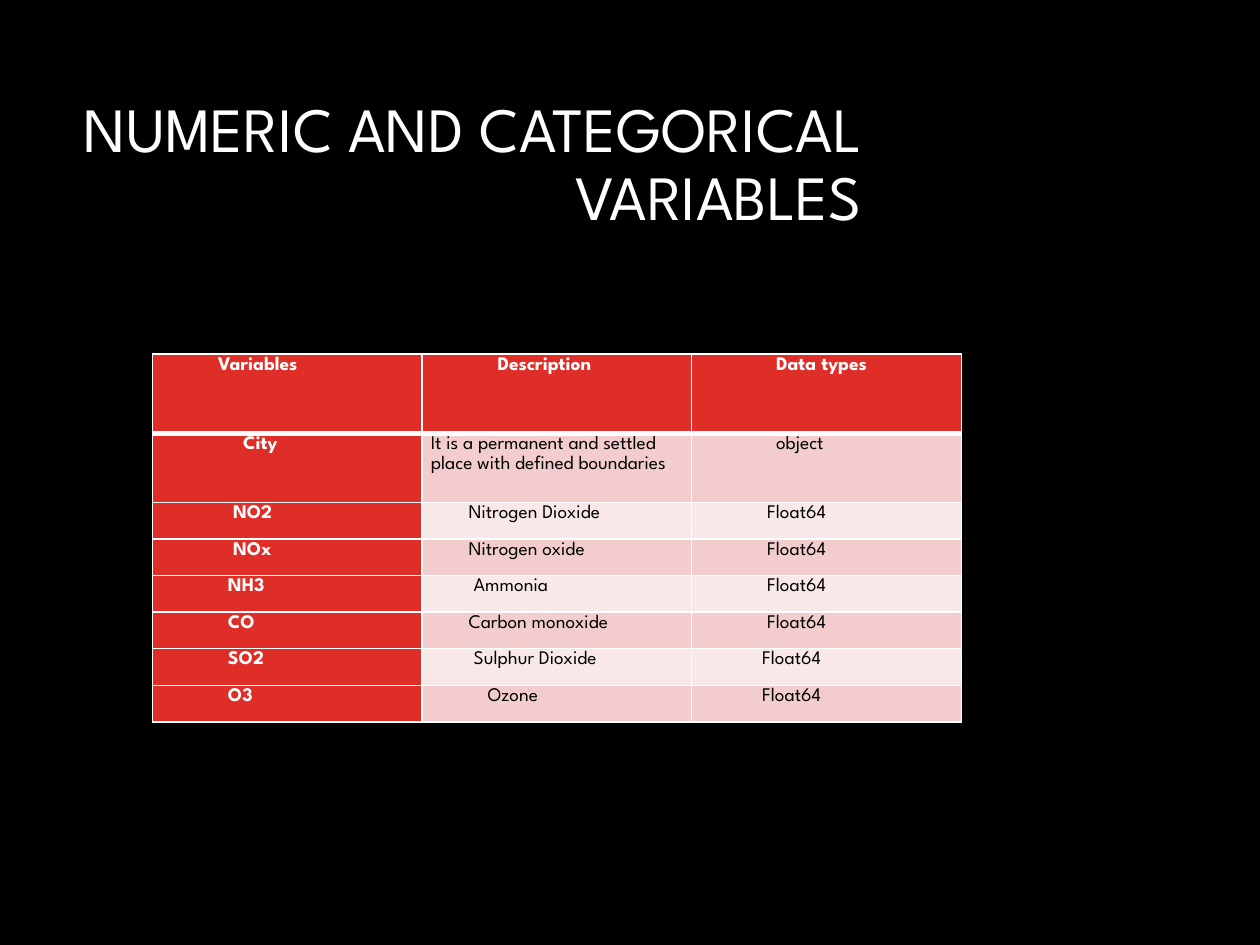
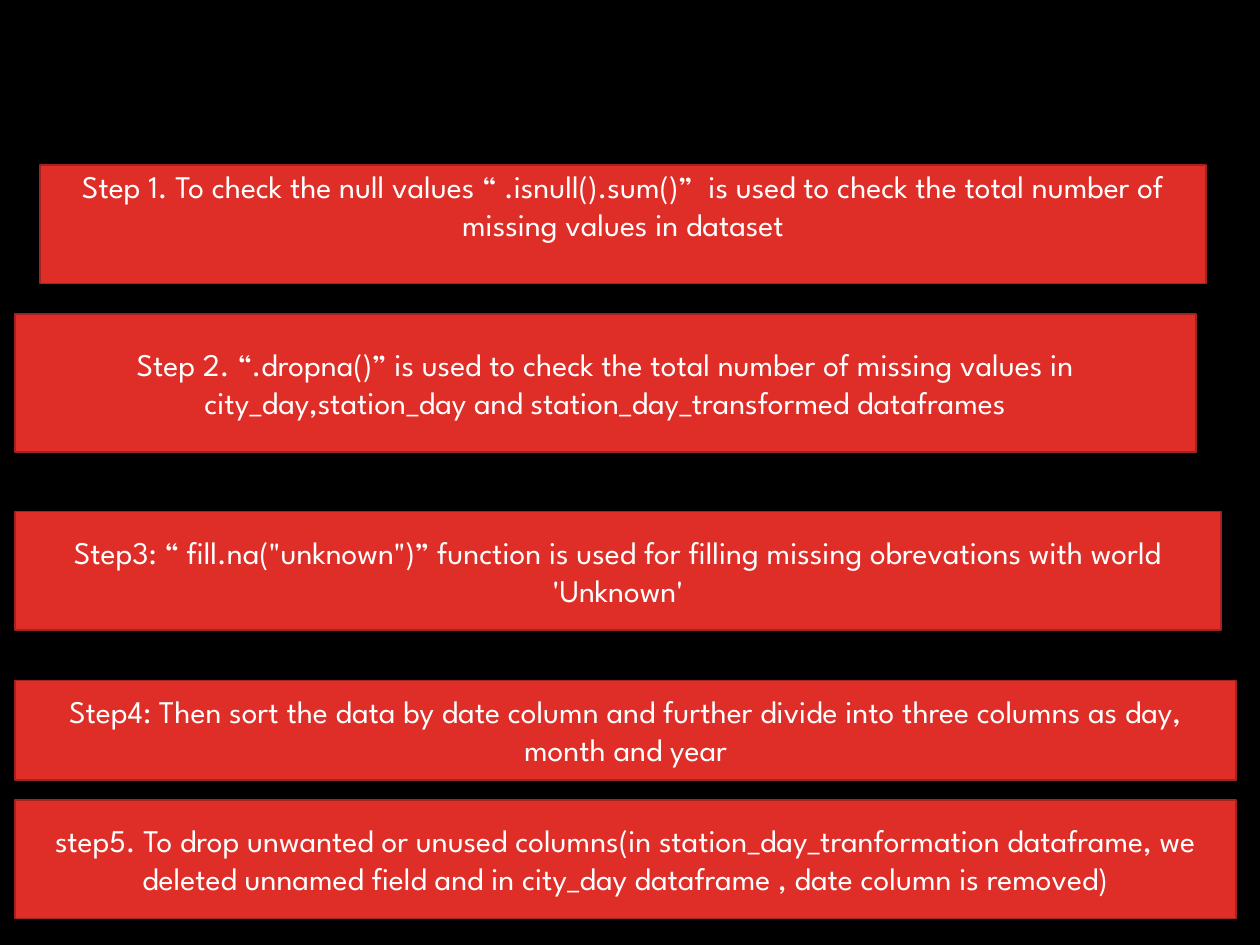
from lxml.etree import SubElement
from pptx import Presentation
from pptx.dml.color import RGBColor
from pptx.enum.shapes import MSO_SHAPE
from pptx.enum.text import MSO_ANCHOR, PP_ALIGN
from pptx.oxml.ns import qn
from pptx.util import Inches, Pt

FONT = "League Spartan"
BLACK = RGBColor(0x00, 0x00, 0x00)
WHITE = RGBColor(0xFF, 0xFF, 0xFF)
RED = RGBColor(0xDF, 0x2E, 0x28)
DARK_RED = RGBColor(0xA5, 0x22, 0x1E)
ROSE = RGBColor(0xF3, 0xCD, 0xCD)
PALE_ROSE = RGBColor(0xF9, 0xE8, 0xE8)

# Content: each table cell is (text, indent in inches)
TITLE = "NUMERIC AND CATEGORICAL VARIABLES"
VARIABLES = [
    [("Variables", 0.45), ("Description", 0.53), ("Data types", 0.6)],
    [("City", 0.65), ("It is a permanent and settled place with defined boundaries", 0), ("object", 0.6)],
    [("NO2", 0.57), ("Nitrogen Dioxide", 0.3), ("Float64", 0.53)],
    [("NOx", 0.57), ("Nitrogen oxide", 0.3), ("Float64", 0.53)],
    [("NH3", 0.53), ("Ammonia", 0.34), ("Float64", 0.53)],
    [("CO", 0.53), ("Carbon monoxide", 0.3), ("Float64", 0.53)],
    [("SO2", 0.53), ("Sulphur Dioxide", 0.34), ("Float64", 0.49)],
    [("O3", 0.53), ("Ozone", 0.45), ("Float64", 0.49)],
]
COLUMN_WIDTH = 2.14
HEADER_HEIGHT, CITY_HEIGHT, ROW_HEIGHT = 0.63, 0.55, 0.29

# Each step is (text, (left, top, width, height), shape, bottom inset)
PROCESS, RECTANGLE = MSO_SHAPE.FLOWCHART_PROCESS, MSO_SHAPE.RECTANGLE
STEPS = [
    ("Step 1. To check the null values “ .isnull().sum()”  is used to check the total number of "
     "missing values in dataset", (0.32, 1.31, 9.25, 0.94), PROCESS, 0.35),
    ("Step 2. “.dropna()” is used to check the total number of missing values in "
     "city_day,station_day and station_day_transformed dataframes", (0.12, 2.49, 9.37, 1.1), PROCESS, 0.05),
    ("Step3: “ fill.na(\"unknown\")” function is used for filling missing obrevations with world "
     "'Unknown'", (0.12, 4.06, 9.57, 0.94), RECTANGLE, 0.05),
    ("Step4: Then sort the data by date column and further divide into three columns as day, "
     "month and year", (0.12, 5.4, 9.69, 0.79), PROCESS, 0.05),
    ("step5. To drop unwanted or unused columns(in station_day_tranformation dataframe, we "
     "deleted unnamed field and in city_day dataframe , date column is removed)",
     (0.12, 6.35, 9.69, 0.94), RECTANGLE, 0.05),
]


def add_page(deck):
    page = deck.slides.add_slide(deck.slide_layouts[6])
    page.background.fill.solid()
    page.background.fill.fore_color.rgb = BLACK
    return page


def write(frame, text, size, color=WHITE, align=PP_ALIGN.LEFT, bold=False):
    frame.word_wrap = True
    para = frame.paragraphs[0]
    para.text = text
    para.alignment = align
    font = para.font
    font.name, font.size, font.bold = FONT, Pt(size), bold
    font.color.rgb = color
    return para


def add_border(cell, side, width):
    line = SubElement(cell._tc.get_or_add_tcPr(), qn(f"a:ln{side}"), w=str(Pt(width)))
    fill = SubElement(line, qn("a:solidFill"))
    SubElement(fill, qn("a:srgbClr"), val=str(WHITE))


def add_title(page, text):
    box = page.shapes.add_textbox(0, Inches(0.93), Inches(6.94), Inches(0.78))
    box.text_frame.vertical_anchor = MSO_ANCHOR.MIDDLE
    write(box.text_frame, text, 36, align=PP_ALIGN.RIGHT).line_spacing = 0.9


def style_cell(cell, text, indent, row, column):
    # The rule between header and body is thicker than the others
    for side in "LRTB":
        add_border(cell, side, 3 if (row, side) in ((0, "B"), (1, "T")) else 1)
    labelled = row == 0 or column == 0
    cell.fill.solid()
    cell.fill.fore_color.rgb = RED if labelled else ROSE if row % 2 else PALE_ROSE
    cell.margin_left = cell.margin_right = Inches(0.07)
    cell.margin_top = cell.margin_bottom = 0
    para = write(cell.text_frame, text, 11, WHITE if labelled else BLACK, bold=labelled)
    para.line_spacing, para.space_after = 1.15, Pt(10)
    para._p.get_or_add_pPr().set("marL", str(Inches(indent)))


def add_variable_table(page):
    heights = [HEADER_HEIGHT, CITY_HEIGHT] + [ROW_HEIGHT] * (len(VARIABLES) - 2)
    columns = len(VARIABLES[0])
    table = page.shapes.add_table(len(VARIABLES), columns, Inches(1.21), Inches(2.81),
                                  Inches(COLUMN_WIDTH * columns), Inches(sum(heights))).table
    for column in table.columns:
        column.width = Inches(COLUMN_WIDTH)
    for row, entries in enumerate(VARIABLES):
        table.rows[row].height = Inches(heights[row])
        for column, (text, indent) in enumerate(entries):
            style_cell(table.cell(row, column), text, indent, row, column)


def add_step(page, text, place, kind, bottom_inset):
    box = page.shapes.add_shape(kind, *map(Inches, place))
    box.shadow.inherit = False
    box.fill.solid()
    box.fill.fore_color.rgb = RED
    box.line.color.rgb = DARK_RED
    box.line.width = Pt(1)
    frame = box.text_frame
    frame.vertical_anchor = MSO_ANCHOR.MIDDLE
    frame.margin_bottom = Inches(bottom_inset)
    write(frame, text, 18, align=PP_ALIGN.CENTER)


def main():
    deck = Presentation()
    deck.slide_width, deck.slide_height = Inches(10), Inches(7.5)

    # Variables and their types
    page = add_page(deck)
    add_title(page, TITLE)
    add_variable_table(page)

    # Cleaning steps
    page = add_page(deck)
    for step in STEPS:
        add_step(page, *step)

    deck.save("out.pptx")


if __name__ == "__main__":
    main()
